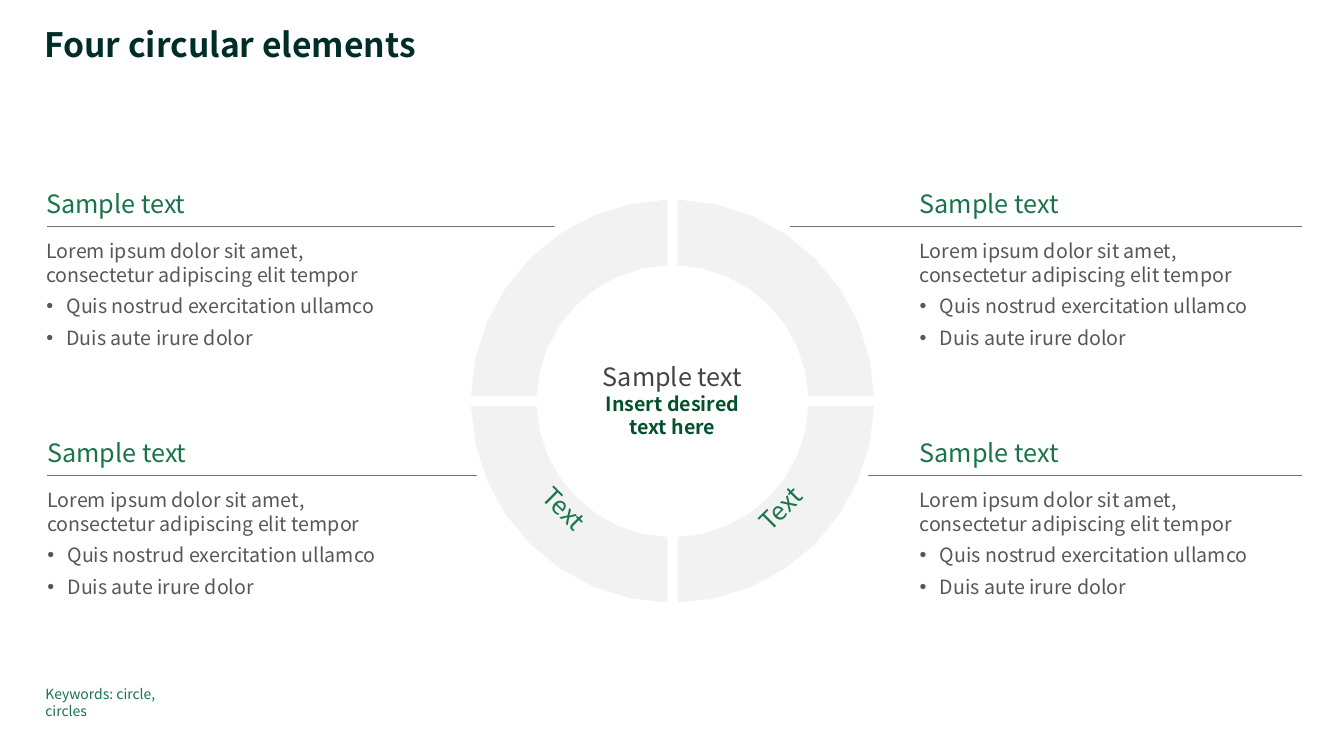
import math

from lxml import etree
from pptx import Presentation
from pptx import util as u
from pptx.dml.color import RGBColor
from pptx.enum import shapes, text
from pptx.oxml import ns

FONT = "Noto Sans CJK JP"
GREEN, GREY, WHITE = "1A7449", "575757", "FFFFFF"
CX, RING_Y, DISC_Y = 6.67, 3.98, 3.97
OUTER, INNER, GAP = 2.0, 1.35, 0.05


def rgb(value):
    return RGBColor.from_string(value)


def set_frame(sp, anchor=text.MSO_ANCHOR.TOP, top=0, bottom=0):
    tf = sp.text_frame
    tf.word_wrap = True
    tf.auto_size = text.MSO_AUTO_SIZE.NONE
    tf.vertical_anchor = anchor
    tf.margin_left = tf.margin_right = 0
    tf.margin_top, tf.margin_bottom = u.Inches(top), u.Inches(bottom)
    return tf


def add_box(s, x, y, w, h, **frame):
    sp = s.shapes.add_textbox(*map(u.Inches, (x, y, w, h)))
    return sp, set_frame(sp, **frame)


def write(p, content, size, color, bold=False, align=text.PP_ALIGN.LEFT):
    """Add content to p, one run per line."""
    p.alignment = align
    for i, line in enumerate(content.split("\n")):
        if i:
            p.add_line_break()
        r = p.add_run()
        r.text = line
        r.font.name, r.font.size, r.font.bold = FONT, u.Pt(size), bold
        r.font.color.rgb = rgb(color)


def add_bullet(p):
    pPr = p._p.get_or_add_pPr()
    pPr.set("marL", str(u.Inches(0.2)))
    pPr.set("indent", str(u.Inches(-0.2)))
    etree.SubElement(pPr, ns.qn("a:buFont")).set("typeface", "Arial")
    etree.SubElement(pPr, ns.qn("a:buChar")).set("char", "•")


def style_fill(sp, color):
    sp.shadow.inherit = False
    sp.fill.solid()
    sp.fill.fore_color.rgb = rgb(color)
    sp.line.fill.background()


def add_disc(s, diameter):
    left, top = CX - diameter / 2, DISC_Y - diameter / 2
    sp = s.shapes.add_shape(shapes.MSO_SHAPE.OVAL,
                            *map(u.Inches, (left, top, diameter, diameter)))
    style_fill(sp, WHITE)
    return sp


def add_rule(s, x1, x2, y):
    line = s.shapes.add_connector(shapes.MSO_CONNECTOR.STRAIGHT,
                                  *map(u.Inches, (x1, y, x2, y)))
    line.line.color.rgb = rgb("6E6F73")
    line.line.width = u.Pt(0.5)
    etree.SubElement(line._element.spPr, ns.qn("a:effectLst"))


def add_title(s):
    title = s.shapes.title
    title.left, title.top, title.width, title.height = map(
        u.Inches, (0.44, 0.28, 11.03, 0.37))
    p = set_frame(title).paragraphs[0]
    p.line_spacing = 0.9
    write(p, "Four circular elements", 24, "002D28", bold=True)


def add_callout(s, x, y, w):
    """Place a heading above and a body below the rule at height y."""
    _, tf = add_box(s, x, y - 0.38, w, 0.38,
                    anchor=text.MSO_ANCHOR.BOTTOM, bottom=0.08)
    write(tf.paragraphs[0], "Sample text", 18, GREEN)
    _, tf = add_box(s, x, y, w, 1.31, top=0.12, bottom=0.08)
    lines = ("Lorem ipsum dolor sit amet, \nconsectetur adipiscing elit tempor",
             "Quis nostrud exercitation ullamco", "Duis aute irure dolor")
    for i, line in enumerate(lines):
        p = tf.add_paragraph() if i else tf.paragraphs[0]
        p.space_after = u.Pt(6)
        if i:
            add_bullet(p)
        write(p, line, 14, GREY)


def add_quadrant(s, sx, sy):
    """Draw a ring quarter on the side given by the signs sx and sy."""
    def arc(radius, steps=8):
        start = math.asin(GAP / radius)
        sweep = math.pi / 2 - 2 * start
        angles = [start + sweep * i / steps for i in range(steps + 1)]
        return [(u.Inches(CX + sx * radius * math.cos(a)),
                 u.Inches(RING_Y + sy * radius * math.sin(a))) for a in angles]

    points = arc(OUTER) + arc(INNER)[::-1]
    builder = s.shapes.build_freeform(*points[0])
    builder.add_line_segments(points[1:], close=True)
    style_fill(builder.convert_to_shape(), "F2F2F2")


def add_ring_label(s, angle):
    side = 3.33
    sp, tf = add_box(s, CX - side / 2, DISC_Y - side / 2, side, side,
                     anchor=text.MSO_ANCHOR.BOTTOM)
    sp.rotation = angle
    write(tf.paragraphs[0], "Text", 18, GREEN, align=text.PP_ALIGN.CENTER)


def add_center(s):
    tf = set_frame(add_disc(s, 2.54), anchor=text.MSO_ANCHOR.MIDDLE)
    write(tf.paragraphs[0], "Sample text", 18, "444444",
          align=text.PP_ALIGN.CENTER)
    write(tf.add_paragraph(), "Insert desired\ntext here", 14, "03522D",
          bold=True, align=text.PP_ALIGN.CENTER)


def add_keywords(s):
    _, tf = add_box(s, 0.45, 6.8, 1.49, 0.17)
    write(tf.paragraphs[0], "Keywords: circle, circles", 10, GREEN)


def main():
    prs = Presentation()
    prs.slide_width, prs.slide_height = u.Inches(13.33), u.Inches(7.5)
    s = prs.slides.add_slide(prs.slide_layouts[5])
    add_title(s)
    for y, left_end, right_start in ((2.25, 5.85, 6.97), (4.72, 4.84, 8.38)):
        add_rule(s, 0.47, left_end, y)
        add_rule(s, right_start, 12.91, y)
    add_disc(s, 4.16)
    for sy, y, left in ((-1, 2.25, 0.46), (1, 4.72, 0.47)):
        for sx, x, w in ((-1, left, 3.9), (1, 9.12, 3.79)):
            add_quadrant(s, sx, sy)
            add_callout(s, x, y, w)
    for angle in (45, 315):
        add_ring_label(s, angle)
    add_center(s)
    add_keywords(s)
    prs.save("out.pptx")


if __name__ == "__main__":
    main()
